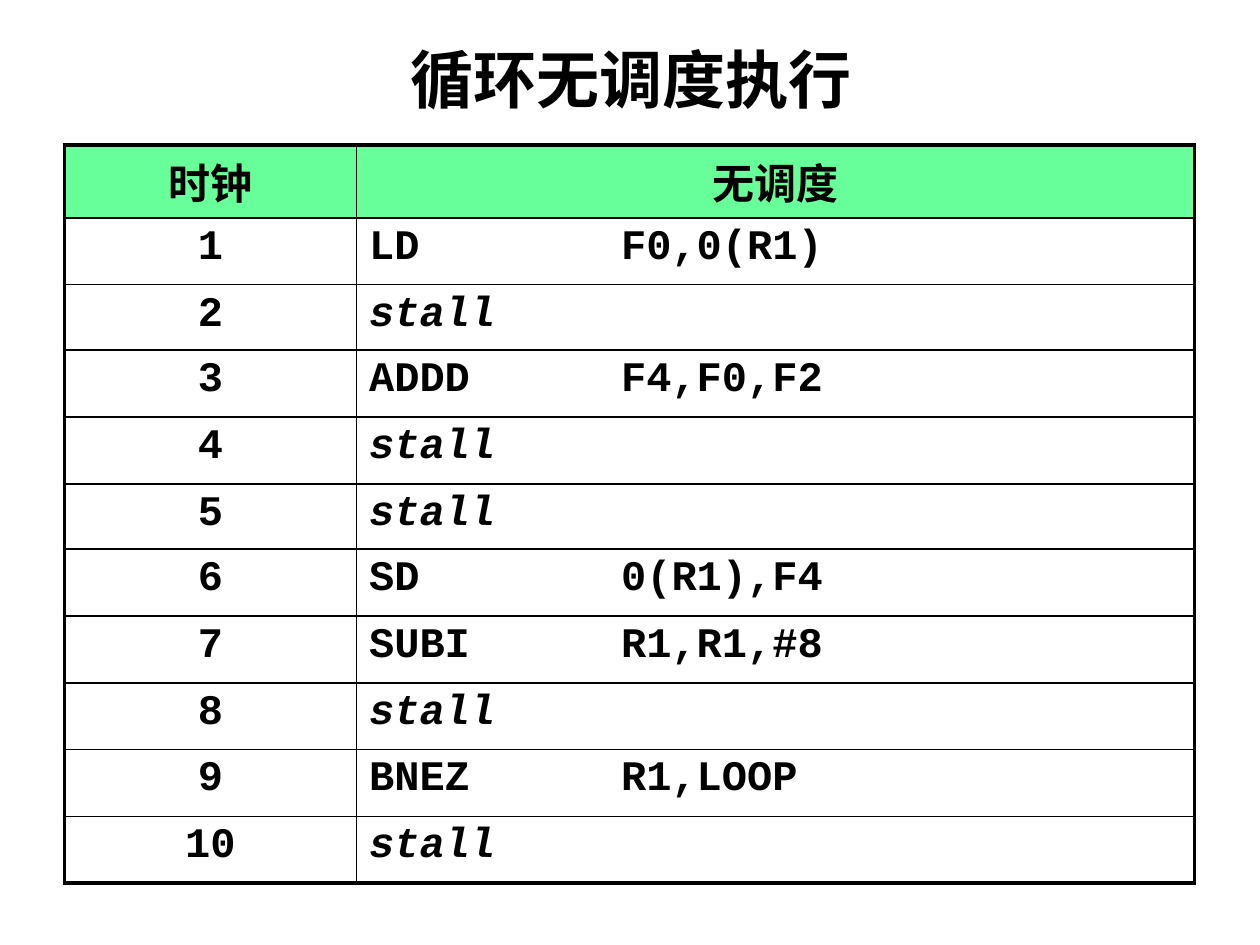
from dataclasses import dataclass

from lxml.etree import SubElement
from pptx import Presentation
from pptx.dml.color import RGBColor
from pptx.enum.text import MSO_ANCHOR, PP_ALIGN
from pptx.oxml.ns import qn
from pptx.util import Inches, Pt


@dataclass(frozen=True)
class Theme:
    ink: str = "000000"
    paper: str = "FFFFFF"
    header: str = "66FF99"
    title_font: str = "Calibri"
    code_font: str = "Courier New"
    title_size: float = 36
    code_size: float = 24
    outer_line: float = 2.25
    inner_line: float = 1


THEME = Theme()
STALL = "stall"
HEADINGS = ("时钟", "无调度")
INSTRUCTIONS = (
    "LD\t\tF0,0(R1)", STALL, "ADDD\t\tF4,F0,F2", STALL, STALL,
    "SD\t\t0(R1),F4", "SUBI\t\tR1,R1,#8", STALL, "BNEZ\t\tR1,LOOP", STALL,
)
COLUMN_WIDTHS = (2.32, 6.65)
ROW_HEIGHTS = (0.58, 0.53, 0.52, 0.53, 0.53, 0.52, 0.53, 0.53, 0.53, 0.53, 0.53)


def add_run(paragraph, text, font, size, italic=False):
    run = paragraph.add_run()
    run.text = text
    run.font.name = font
    run.font.size = Pt(size)
    run.font.bold = True
    run.font.italic = italic
    run.font.color.rgb = RGBColor.from_string(THEME.ink)


def set_space_before(paragraph, percent):
    properties = paragraph._p.get_or_add_pPr()
    spacing = SubElement(properties, qn("a:spcBef"))
    SubElement(spacing, qn("a:spcPct"), val=str(percent * 1000))


def set_tab_stops(paragraph, positions):
    stops = SubElement(paragraph._p.get_or_add_pPr(), qn("a:tabLst"))
    for position in positions:
        SubElement(stops, qn("a:tab"), pos=str(Inches(position)), algn="l")


def set_border(cell, side, width):
    line = SubElement(cell._tc.get_or_add_tcPr(), qn(f"a:ln{side}"), w=str(Pt(width)))
    fill = SubElement(line, qn("a:solidFill"))
    SubElement(fill, qn("a:srgbClr"), val=THEME.ink)


def add_title(slide, text):
    box = slide.shapes.add_textbox(Inches(0.51), Inches(0), Inches(9), Inches(1.25))
    frame = box.text_frame
    frame.word_wrap = True
    frame.vertical_anchor = MSO_ANCHOR.MIDDLE
    paragraph = frame.paragraphs[0]
    paragraph.alignment = PP_ALIGN.CENTER
    add_run(paragraph, text, THEME.title_font, THEME.title_size)


def fill_cell(cell, text, color, centered, outer_sides):
    paragraph = cell.text_frame.paragraphs[0]
    paragraph.alignment = PP_ALIGN.CENTER if centered else PP_ALIGN.LEFT
    set_space_before(paragraph, 20)
    if "\t" in text:
        set_tab_stops(paragraph, (1, 2))
    add_run(paragraph, text, THEME.code_font, THEME.code_size, italic=text == STALL)
    for side in "LRTB":
        set_border(cell, side, THEME.outer_line if side in outer_sides else THEME.inner_line)
    cell.fill.solid()
    cell.fill.fore_color.rgb = RGBColor.from_string(color)


def add_schedule(slide):
    # The clock column numbers the instructions from 1
    rows = [HEADINGS] + [(str(clock), text) for clock, text in enumerate(INSTRUCTIONS, 1)]
    frame = slide.shapes.add_table(
        len(rows), len(HEADINGS), Inches(0.51), Inches(1.15),
        Inches(sum(COLUMN_WIDTHS)), Inches(sum(ROW_HEIGHTS)))
    table = frame.table
    table.first_row = table.horz_banding = False
    for column, width in zip(table.columns, COLUMN_WIDTHS):
        column.width = Inches(width)
    for row, height in zip(table.rows, ROW_HEIGHTS):
        row.height = Inches(height)

    # Thick lines run only round the outside of the table
    for row_index, texts in enumerate(rows):
        is_header = row_index == 0
        edge = "T" if is_header else "B" if row_index == len(rows) - 1 else ""
        for column_index, text in enumerate(texts):
            fill_cell(
                table.cell(row_index, column_index), text,
                THEME.header if is_header else THEME.paper,
                centered=is_header or column_index == 0,
                outer_sides=edge + "LR"[column_index])


def main():
    presentation = Presentation()
    presentation.slide_width = Inches(10)
    presentation.slide_height = Inches(7.5)
    slide = presentation.slides.add_slide(presentation.slide_layouts[6])
    add_title(slide, "循环无调度执行")
    add_schedule(slide)
    presentation.save("out.pptx")


if __name__ == "__main__":
    main()
